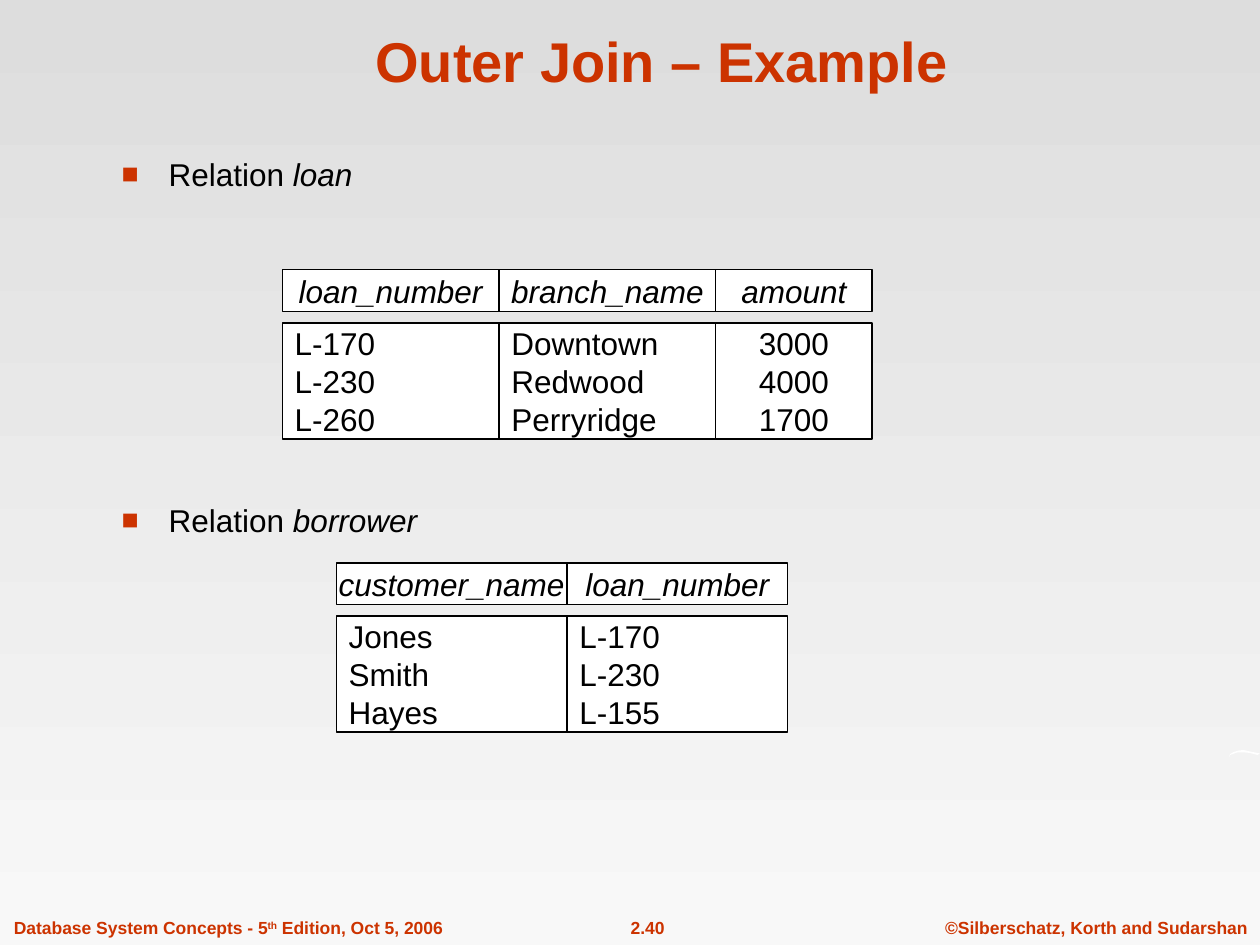
from lxml import etree
from pptx import Presentation
from pptx.dml.color import RGBColor
from pptx.enum.shapes import MSO_SHAPE
from pptx.enum.text import MSO_ANCHOR, MSO_AUTO_SIZE, PP_ALIGN
from pptx.oxml.ns import qn
from pptx.util import Cm, Pt

RECTANGLE = MSO_SHAPE.RECTANGLE
LEFT, CENTER = PP_ALIGN.LEFT, PP_ALIGN.CENTER
TOP, MIDDLE, BOTTOM = MSO_ANCHOR.TOP, MSO_ANCHOR.MIDDLE, MSO_ANCHOR.BOTTOM
FIXED_SIZE = MSO_AUTO_SIZE.NONE

RED = RGBColor(0xCC, 0x33, 0x00)
BLACK = RGBColor(0x00, 0x00, 0x00)
WHITE = RGBColor(0xFF, 0xFF, 0xFF)
GRAY = RGBColor(0xDD, 0xDD, 0xDD)
PALE_GRAY = RGBColor(0xF8, 0xF8, 0xF8)

FONT = "Arial"
HEADER_HEIGHT = 0.84
VALUES_OFFSET = 1.07
VALUES_HEIGHT = 2.34

LOAN = [
    (4.37, "loan_number", ["L-170", "L-230", "L-260"], LEFT),
    (4.37, "branch_name", ["Downtown", "Redwood", "Perryridge"], LEFT),
    (3.15, "amount", ["3000", "4000", "1700"], CENTER),
]
BORROWER = [
    (4.65, "customer_name", ["Jones", "Smith", "Hayes"], LEFT),
    (4.45, "loan_number", ["L-170", "L-230", "L-155"], LEFT),
]
SWOOSH = [
    (24.77, 15.27), (24.8, 15.2), (24.87, 15.16), (24.97, 15.13),
    (25.07, 15.12), (25.2, 15.15), (25.4, 15.19), (25.35, 15.22),
    (25.2, 15.18), (25.1, 15.17), (24.94, 15.17), (24.8, 15.22),
]


def write_text(box, lines, size=18, color=BLACK, bold=False, italic=False,
               align=LEFT, anchor=TOP, wrap=True, space_before=0):
    frame = box.text_frame
    frame.auto_size = FIXED_SIZE
    frame.word_wrap = wrap
    frame.vertical_anchor = anchor
    frame.margin_left = frame.margin_right = Cm(0.25)
    frame.margin_top = frame.margin_bottom = Cm(0.13)
    for index, line in enumerate(lines):
        para = frame.add_paragraph() if index else frame.paragraphs[0]
        para.alignment = align
        para.space_before = Pt(space_before)
        for text, style in [(line, "")] if isinstance(line, str) else line:
            span = para.add_run()
            span.text = text
            span.font.name = FONT
            span.font.size = Pt(size)
            span.font.bold = bold
            span.font.italic = italic or style == "italic"
            span.font.color.rgb = color
            if style == "superscript":
                span._r.get_or_add_rPr().set("baseline", "30000")


def place(box, left, top, width, height):
    box.left, box.top = Cm(left), Cm(top)
    box.width, box.height = Cm(width), Cm(height)


def add_square_bullet(para):
    properties = para._p.get_or_add_pPr()
    properties.set("marL", str(Cm(0.95)))
    properties.set("indent", str(-Cm(0.95)))
    bullet_color = etree.SubElement(properties, qn("a:buClr"))
    etree.SubElement(bullet_color, qn("a:srgbClr"), val=str(RED))
    etree.SubElement(properties, qn("a:buSzPct"), val="90000")
    etree.SubElement(properties, qn("a:buFont"), typeface=FONT)
    etree.SubElement(properties, qn("a:buChar"), char="■")


def fill_list(box, relation, top, width):
    place(box, 2.2, top, width, 1.35)
    write_text(box, [[("Relation ", ""), (relation, "italic")]], space_before=7.9)
    add_square_bullet(box.text_frame.paragraphs[0])


def add_cell(group, left, top, width, height, lines, **text_format):
    cell = group.shapes.add_shape(RECTANGLE, Cm(left), Cm(top), Cm(width), Cm(height))
    cell.shadow.inherit = False
    cell.fill.solid()
    cell.fill.fore_color.rgb = WHITE
    cell.line.color.rgb = BLACK
    cell.line.width = Pt(0.75)
    write_text(cell, lines, anchor=MIDDLE, **text_format)


def add_relation(slide, left, top, columns):
    group = slide.shapes.add_group_shape()
    for width, header, values, align in columns:
        add_cell(group, left, top, width, HEADER_HEIGHT, [header],
                 italic=True, align=CENTER, wrap=False)
        add_cell(group, left, top + VALUES_OFFSET, width, VALUES_HEIGHT, values,
                 align=align)
        left += width


def add_footer(slide, left, width, line, align):
    box = slide.shapes.add_textbox(Cm(left), Cm(18.36), Cm(width), Cm(0.69))
    write_text(box, [line], size=10, color=RED, bold=True, align=align, wrap=False)


def add_swoosh(slide):
    points = [(x * 100, y * 100) for x, y in SWOOSH]
    builder = slide.shapes.build_freeform(*points[0], scale=Cm(0.01))
    builder.add_line_segments(points[1:], close=True)
    swoosh = builder.convert_to_shape()
    swoosh.shadow.inherit = False
    swoosh.fill.solid()
    swoosh.fill.fore_color.rgb = WHITE
    swoosh.line.fill.background()


def set_background(slide):
    fill = slide.background.fill
    fill.gradient()
    fill.gradient_angle = 270
    for stop, position, color in zip(fill.gradient_stops, (0, 1), (GRAY, PALE_GRAY)):
        stop.position = position
        stop.color.rgb = color


def main():
    deck = Presentation()
    deck.slide_width, deck.slide_height = Cm(25.4), Cm(19.05)
    slide = deck.slides.add_slide(deck.slide_layouts[3])
    set_background(slide)

    title, loan_list, borrower_list = slide.placeholders
    place(title, 2.13, 0.33, 22.43, 1.7)
    write_text(title, ["Outer Join – Example"], size=32, color=RED, bold=True,
               align=CENTER, anchor=BOTTOM)
    fill_list(loan_list, "loan", 3, 19.05)
    fill_list(borrower_list, "borrower", 9.96, 19.53)

    add_relation(slide, 5.69, 5.44, LOAN)
    add_relation(slide, 6.78, 11.35, BORROWER)

    edition = [("Database System Concepts - 5", ""), ("th", "superscript"),
               (" Edition, Oct 5, 2006", "")]
    add_footer(slide, 0.03, 9.14, edition, LEFT)
    add_footer(slide, 11.81, 2.49, "2.40", CENTER)
    add_footer(slide, 18.8, 6.6, "©Silberschatz, Korth and Sudarshan", CENTER)
    add_swoosh(slide)
    deck.save("out.pptx")


if __name__ == "__main__":
    main()
